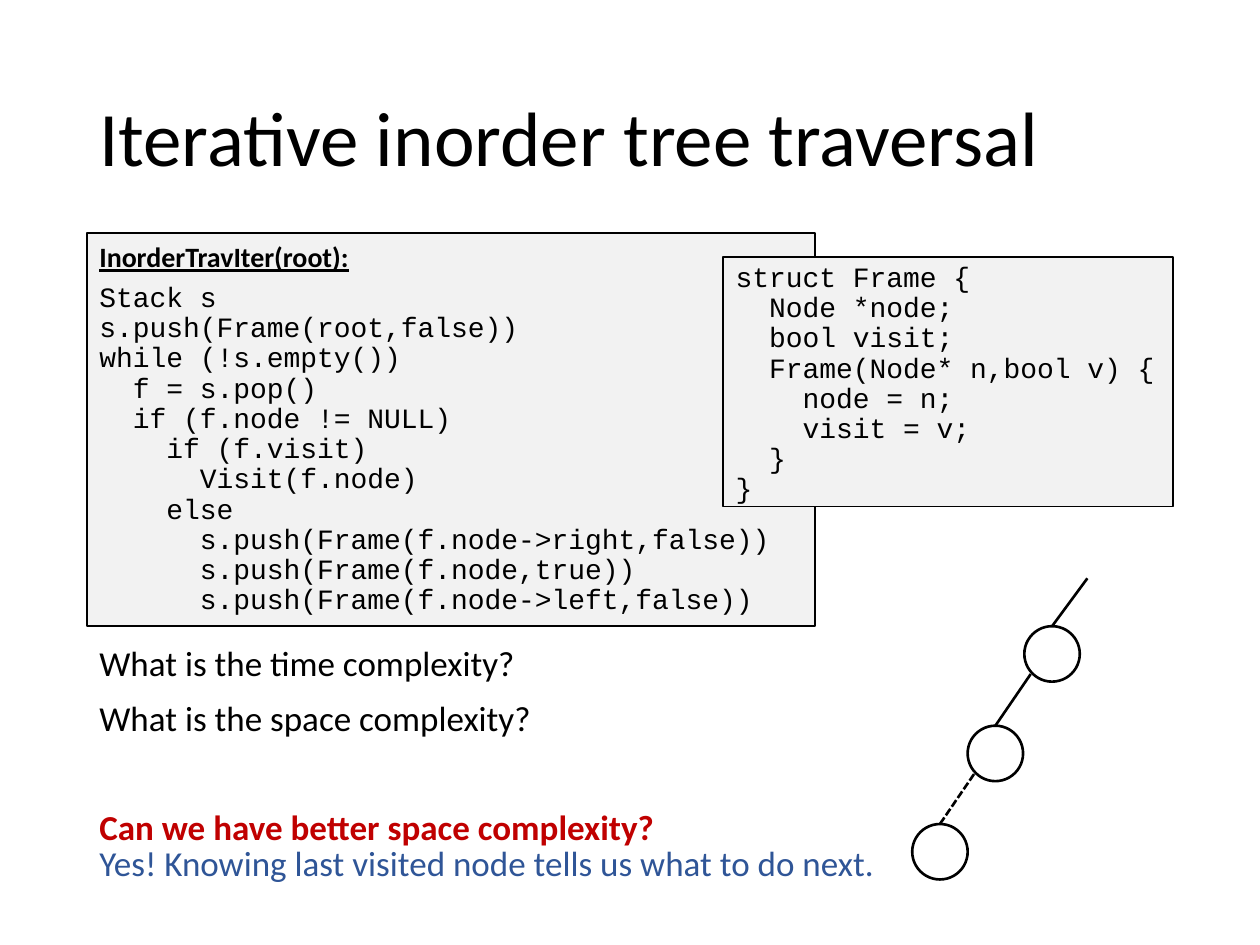
from dataclasses import dataclass

from lxml import etree
from pptx import Presentation
from pptx.dml.color import RGBColor
from pptx.enum.dml import MSO_LINE
from pptx.enum.shapes import MSO_CONNECTOR, MSO_SHAPE
from pptx.enum.text import MSO_ANCHOR, MSO_AUTO_SIZE, PP_ALIGN
from pptx.oxml.ns import qn
from pptx.util import Inches, Pt

RECT, OVAL = MSO_SHAPE.RECTANGLE, MSO_SHAPE.OVAL
STRAIGHT = MSO_CONNECTOR.STRAIGHT
SOLID, DASH = MSO_LINE.SOLID, MSO_LINE.SQUARE_DOT
LEFT, TOP, MIDDLE = PP_ALIGN.LEFT, MSO_ANCHOR.TOP, MSO_ANCHOR.MIDDLE
FIT = MSO_AUTO_SIZE.SHAPE_TO_FIT_TEXT

SANS, MONO = "Calibri", "Courier New"
BLACK, GRAY, RED, BLUE = "000000", "F2F2F2", "C00000", "2F5597"
MARGIN = 0.69
NODE = 0.44

TRAVERSAL = """Stack s
s.push(Frame(root,false))
while (!s.empty())
  f = s.pop()
  if (f.node != NULL)
    if (f.visit)
      Visit(f.node)
    else
      s.push(Frame(f.node->right,false))
      s.push(Frame(f.node,true))
      s.push(Frame(f.node->left,false))"""

STRUCT = """struct Frame {
  Node *node;
  bool visit;
  Frame(Node* n,bool v) {
    node = n;
    visit = v;
  }
}"""


@dataclass
class Panel:
    left: float
    top: float
    width: float
    height: float
    code: str
    head: str = ""


@dataclass
class Note:
    top: float
    width: float
    text: str
    color: str = BLACK
    bold: bool = False


@dataclass
class Node:
    left: float
    top: float
    rise: float
    dash: MSO_LINE = SOLID


PANELS = [
    Panel(MARGIN, 1.85, 5.78, 3.12, TRAVERSAL, "InorderTravIter(root):"),
    Panel(5.74, 2.04, 3.57, 1.98, STRUCT),
]
NOTES = [
    Note(5.04, 3.53, "What is the time complexity?"),
    Note(5.48, 3.66, "What is the space complexity?"),
    Note(6.34, 4.65, "Can we have better space complexity?", RED, True),
    Note(6.63, 6.43, "Yes! Knowing last visited node tells us what to do next.", BLUE),
]
NODES = [
    Node(8.13, 4.97, 0.38),
    Node(7.68, 5.76, 0.41),
    Node(7.24, 6.54, 0.41, DASH),
]


def rgb(code: str) -> RGBColor:
    return RGBColor.from_string(code)


def style(para, font: str, size: float, color: str = BLACK, bold: bool = False) -> None:
    para.alignment = LEFT
    for run in para.runs:
        run.font.name = font
        run.font.size = Pt(size)
        run.font.bold = bold
        run.font.color.rgb = rgb(color)


def stroke(line, width: float) -> None:
    line.color.rgb = rgb(BLACK)
    line.width = Pt(width)


def add_title(slide, text: str) -> None:
    box = slide.shapes.add_textbox(
        Inches(MARGIN), Inches(0.4), Inches(8.62), Inches(1.45))
    frame = box.text_frame
    frame.word_wrap = True
    frame.vertical_anchor = MIDDLE
    frame.text = text
    para = frame.paragraphs[0]
    para.line_spacing = 0.9
    style(para, SANS, 44)


def add_panel(slide, panel: Panel) -> None:
    box = slide.shapes.add_shape(
        RECT, Inches(panel.left), Inches(panel.top),
        Inches(panel.width), Inches(panel.height))
    box.shadow.inherit = False
    box.fill.solid()
    box.fill.fore_color.rgb = rgb(GRAY)
    stroke(box.line, 1)
    frame = box.text_frame
    frame.word_wrap = True
    frame.vertical_anchor = TOP
    frame.text = f"{panel.head}\n{panel.code}" if panel.head else panel.code
    lines = list(frame.paragraphs)
    if panel.head:
        head = lines.pop(0)
        style(head, SANS, 16, bold=True)
        head.runs[0].font.underline = True
        head.space_after = Pt(6)
    for para in lines:
        para.line_spacing = 0.9
        style(para, MONO, 16)


def add_note(slide, note: Note) -> None:
    box = slide.shapes.add_textbox(
        Inches(MARGIN), Inches(note.top), Inches(note.width), Inches(0.44))
    frame = box.text_frame
    frame.word_wrap = False
    frame.auto_size = FIT
    frame.text = note.text
    style(frame.paragraphs[0], SANS, 20, note.color, note.bold)


def add_node(slide, node: Node) -> None:
    """Draw a tree node and the edge up to its parent."""
    x = node.left + NODE / 2
    edge = slide.shapes.add_connector(
        STRAIGHT, Inches(x), Inches(node.top),
        Inches(x + 0.28), Inches(node.top - node.rise))
    stroke(edge.line, 1.5)
    edge.line.dash_style = node.dash
    etree.SubElement(edge.element.spPr, qn("a:effectLst"))
    ring = slide.shapes.add_shape(
        OVAL, Inches(node.left), Inches(node.top), Inches(NODE), Inches(NODE))
    ring.shadow.inherit = False
    ring.fill.background()
    stroke(ring.line, 1.5)


def main() -> None:
    deck = Presentation()
    deck.slide_width, deck.slide_height = Inches(10), Inches(7.5)
    slide = deck.slides.add_slide(deck.slide_layouts[6])
    add_title(slide, "Iterative inorder tree traversal")
    for panel in PANELS:
        add_panel(slide, panel)
    for node in NODES:
        add_node(slide, node)
    for note in NOTES:
        add_note(slide, note)
    deck.save("out.pptx")


if __name__ == "__main__":
    main()
